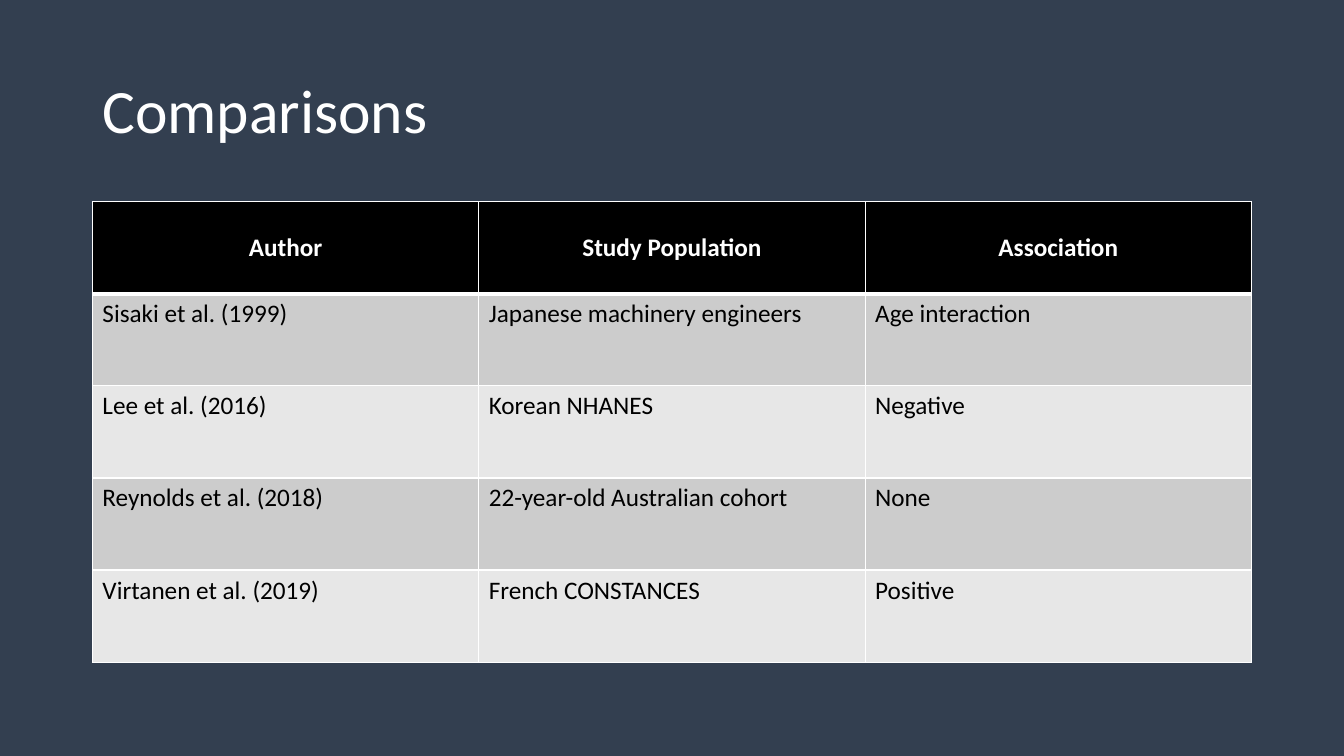
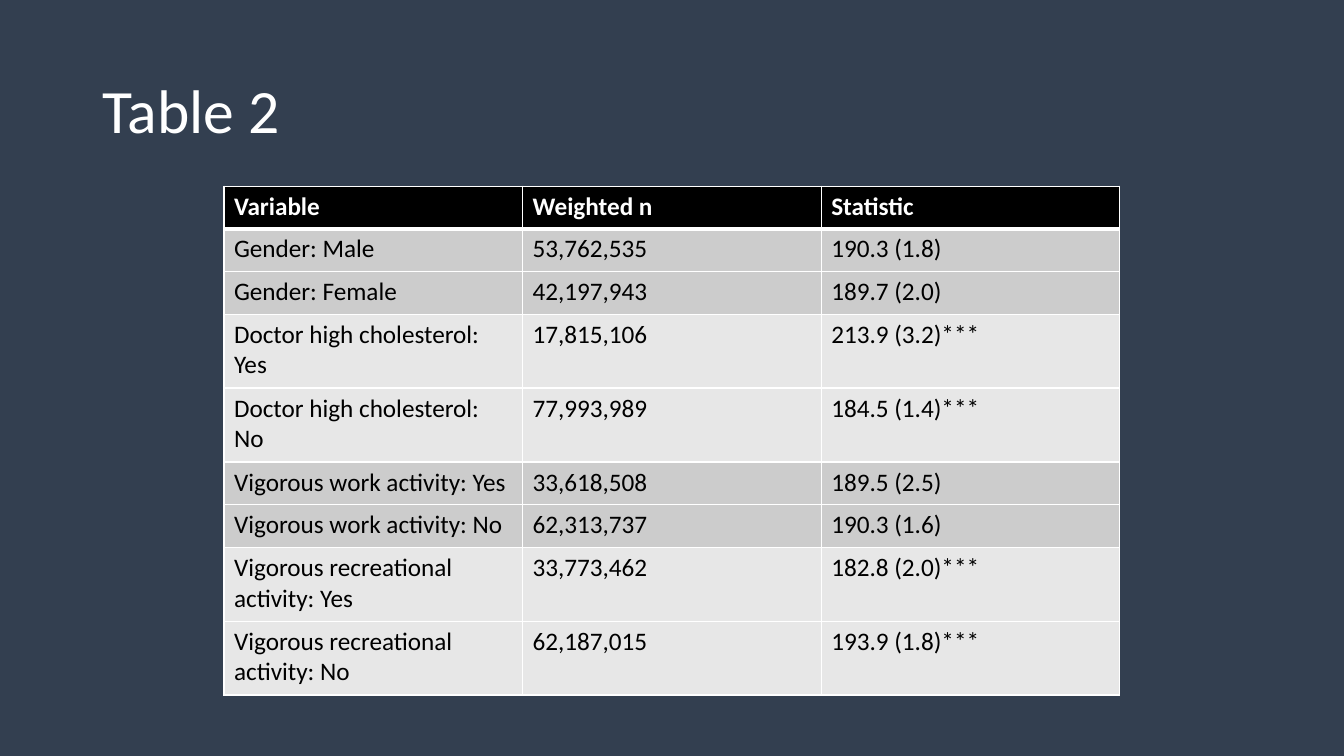
from lxml.etree import SubElement
from pptx import Presentation
from pptx.dml.color import RGBColor
from pptx.enum.text import MSO_ANCHOR, PP_ALIGN
from pptx.oxml.ns import qn
from pptx.util import Pt

COLORS = {
    "background": "333F50",
    "light": "FFFFFF",
    "dark": "000000",
    "band_a": "CCCCCC",
    "band_b": "E7E7E7",
}
FONT = "Calibri"
TITLE_BOX = (66, 29, 828, 104)

COMPARISONS = [
    ("Author", "Study Population", "Association"),
    ("Sisaki et al. (1999)", "Japanese machinery engineers", "Age interaction"),
    ("Lee et al. (2016)", "Korean NHANES", "Negative"),
    ("Reynolds et al. (2018)", "22-year-old Australian cohort", "None"),
    ("Virtanen et al. (2019)", "French CONSTANCES", "Positive"),
]
STATISTICS = [
    ("Variable", "Weighted n", "Statistic"),
    ("Gender: Male", "53,762,535", "190.3 (1.8)"),
    ("Gender: Female", "42,197,943", "189.7 (2.0)"),
    ("Doctor high cholesterol: Yes", "17,815,106", "213.9 (3.2)***"),
    ("Doctor high cholesterol: No", "77,993,989", "184.5 (1.4)***"),
    ("Vigorous work activity: Yes", "33,618,508", "189.5 (2.5)"),
    ("Vigorous work activity: No", "62,313,737", "190.3 (1.6)"),
    ("Vigorous recreational activity: Yes", "33,773,462", "182.8 (2.0)***"),
    ("Vigorous recreational activity: No", "62,187,015", "193.9 (1.8)***"),
]


def rgb(name):
    return RGBColor.from_string(COLORS[name])


def set_font(p, size, color, bold=False):
    p.font.name = FONT
    p.font.size = Pt(size)
    p.font.bold = bold
    p.font.color.rgb = rgb(color)


def set_borders(cell, top, bottom):
    """Draw light borders; must run before the fill, which follows them in the XML."""
    tcPr = cell._tc.get_or_add_tcPr()
    for side, width in (("L", 1), ("R", 1), ("T", top), ("B", bottom)):
        ln = SubElement(tcPr, qn(f"a:ln{side}"), w=str(Pt(width)))
        fill = SubElement(ln, qn("a:solidFill"))
        SubElement(fill, qn("a:srgbClr"), val=COLORS["light"])


def add_titled_slide(prs, title):
    s = prs.slides.add_slide(prs.slide_layouts[5])
    sp = s.shapes.title
    sp.left, sp.top, sp.width, sp.height = map(Pt, TITLE_BOX)
    tf = sp.text_frame
    tf.text = title
    tf.vertical_anchor = MSO_ANCHOR.MIDDLE
    p = tf.paragraphs[0]
    p.alignment = PP_ALIGN.LEFT
    p.line_spacing = 0.9
    set_font(p, 44, "light")
    return s


def add_banded_table(s, rows, box, heights, band=1, center_header=False):
    """Fill the box with equal columns; shading alternates every `band` rows."""
    n_cols = len(rows[0])
    table = s.shapes.add_table(len(rows), n_cols, *map(Pt, box)).table
    for col in table.columns:
        col.width = Pt(box[2] / n_cols)
    for i, (texts, height) in enumerate(zip(rows, heights)):
        table.rows[i].height = Pt(height)
        header = i == 0
        shade = "dark" if header else ("band_a", "band_b")[(i - 1) // band % 2]
        for j, text in enumerate(texts):
            cell = table.cell(i, j)
            set_borders(cell, top=3 if i == 1 else 1, bottom=3 if header else 1)
            cell.fill.solid()
            cell.fill.fore_color.rgb = rgb(shade)
            cell.text = text
            p = cell.text_frame.paragraphs[0]
            set_font(p, 18, "light" if header else "dark", bold=header)
            if header and center_header:
                p.alignment = PP_ALIGN.CENTER
                cell.vertical_anchor = MSO_ANCHOR.MIDDLE


def main():
    prs = Presentation()
    prs.slide_width, prs.slide_height = Pt(960), Pt(540)
    fill = prs.slide_master.background.fill
    fill.solid()
    fill.fore_color.rgb = rgb("background")

    s = add_titled_slide(prs, "Comparisons")
    add_banded_table(s, COMPARISONS, (66, 144, 828, 329),
                     [65.8] * len(COMPARISONS), center_header=True)

    s = add_titled_slide(prs, "Table 2")
    one_line, two_lines = 30.5, 52.8
    heights = [one_line] + ([one_line] * 2 + [two_lines] * 2) * 2
    add_banded_table(s, STATISTICS, (160, 133, 640, sum(heights)), heights, band=2)

    prs.save("out.pptx")


if __name__ == "__main__":
    main()
